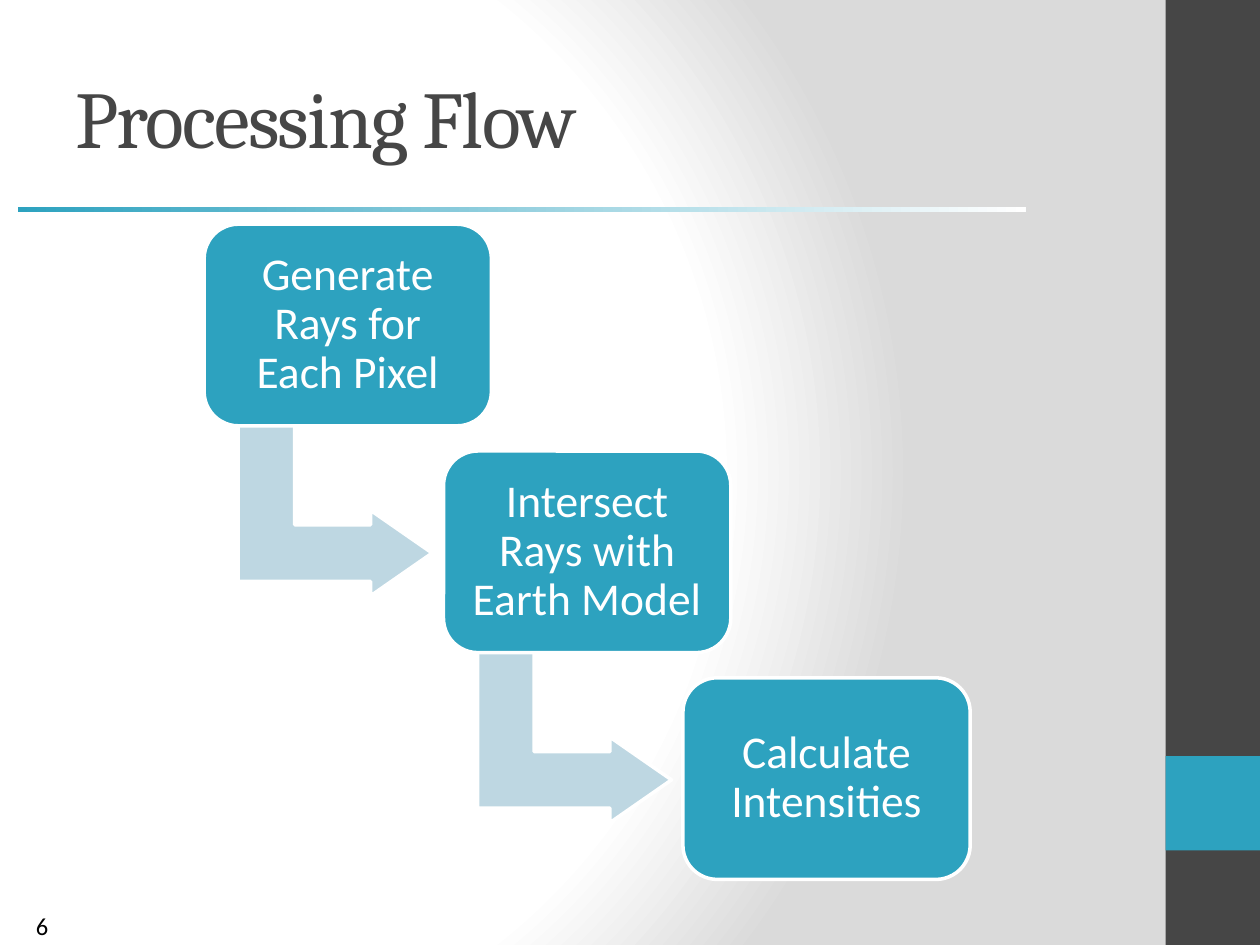
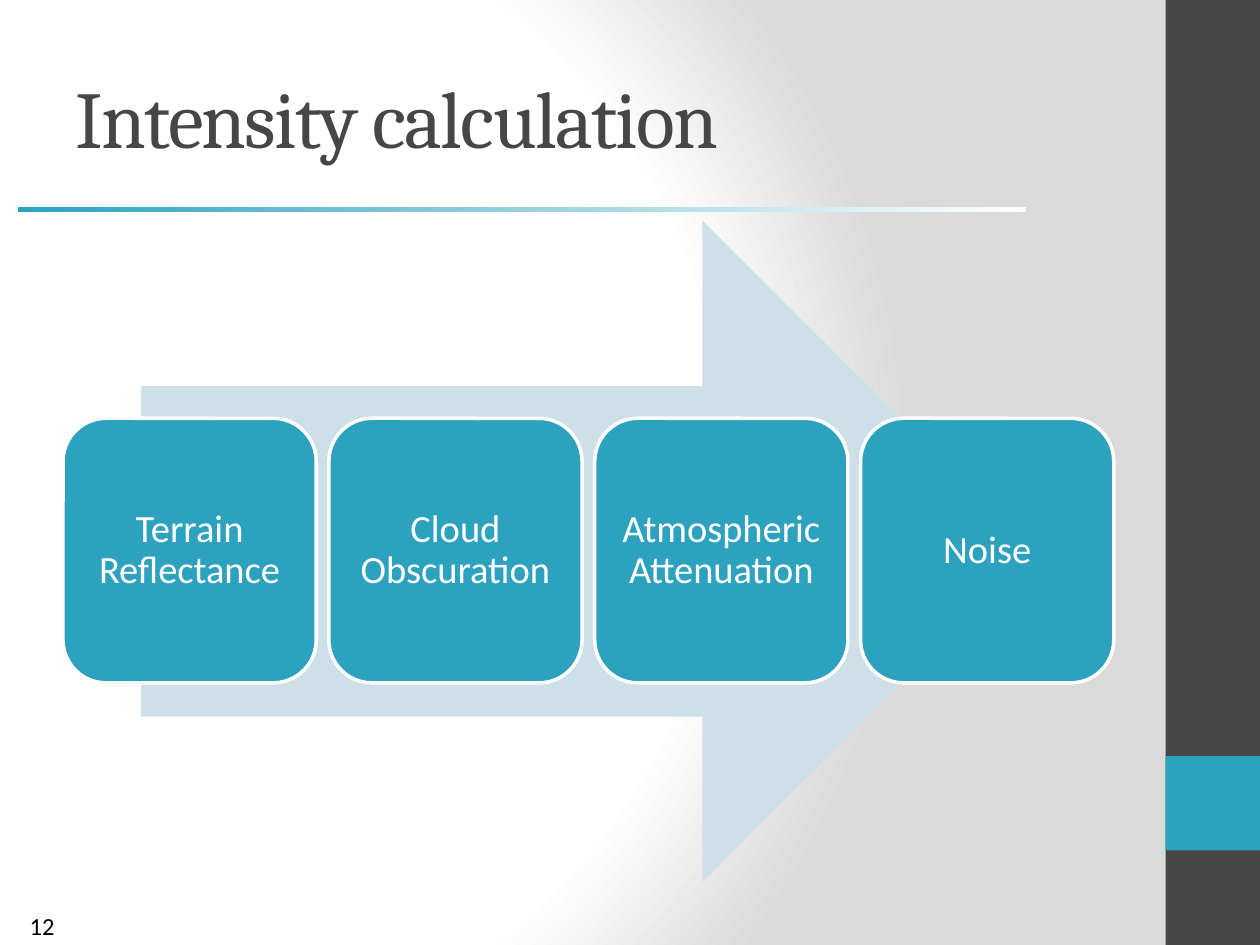
from pptx import Presentation
from pptx.dml.color import RGBColor
from pptx.enum.shapes import MSO_SHAPE
from pptx.enum.text import MSO_ANCHOR, PP_ALIGN
from pptx.oxml import parse_xml
from pptx.oxml.ns import nsdecls, qn
from pptx.util import Inches, Pt

COLOURS = {
    "white": "FFFFFF",
    "black": "000000",
    "backdrop": "DADADA",
    "charcoal": "464646",
    "teal": "2DA2BF",
    "bend": "BED7E2",
    "sweep": "CDE0E8",
}
FONTS = {"title": "Cambria", "body": "Calibri"}


def rgb(name):
    return RGBColor.from_string(COLOURS[name])


def apply(target, values):
    for name, value in values.items():
        setattr(target, name, value)


class Deck:
    def __init__(self):
        self.presentation = Presentation()
        apply(self.presentation, {"slide_width": Inches(10), "slide_height": Inches(7.5)})
        self.slide = None

    def start_slide(self, title, number):
        self.slide = self.presentation.slides.add_slide(self.presentation.slide_layouts[6])
        self.backdrop()
        self.shape(MSO_SHAPE.RECTANGLE, (9.25, 0, 0.75, 7.5), "charcoal")
        self.shape(MSO_SHAPE.RECTANGLE, (9.25, 6, 0.75, 0.75), "teal")
        self.label((0, 7.18, 0.67, 0.32), str(number), 14, "black", align=PP_ALIGN.CENTER)
        self.title_rule()
        heading = self.label((0.5, 0.3, 8.33, 1.25), title, 46, "charcoal",
                             font="title", anchor=MSO_ANCHOR.MIDDLE)
        heading._p.find(".//" + qn("a:rPr")).set("spc", "-100")

    def backdrop(self):
        self.slide.background.fill.gradient()
        plain = self.slide.element.find(".//" + qn("a:gradFill"))
        stops = "".join(
            f'<a:gs pos="{position * 1000}"><a:srgbClr val="{COLOURS[name]}"/></a:gs>'
            for position, name in ((0, "white"), (75, "white"), (100, "backdrop"))
        )
        glow = parse_xml(
            f'<a:gradFill {nsdecls("a")} rotWithShape="1"><a:gsLst>{stops}</a:gsLst>'
            '<a:path path="circle"><a:fillToRect l="20000" t="50000" r="100000" b="50000"/>'
            "</a:path></a:gradFill>"
        )
        plain.getparent().replace(plain, glow)

    def title_rule(self):
        rule = self.shape(MSO_SHAPE.RECTANGLE, (0.14, 1.64, 8, 0.04), "teal")
        rule.fill.gradient()
        rule.fill.gradient_angle = 0
        for stop, name in zip(rule.fill.gradient_stops, ("teal", "white")):
            stop.color.rgb = rgb(name)

    def shape(self, kind, place, fill, outline=None, adjustments=(), rotation=0):
        shape = self.slide.shapes.add_shape(kind, *map(Inches, place))
        shape.shadow.inherit = False
        shape.rotation = rotation
        shape.fill.solid()
        shape.fill.fore_color.rgb = rgb(fill)
        if outline:
            shape.line.color.rgb = rgb(outline)
            shape.line.width = Pt(2)
        else:
            shape.line.fill.background()
        for index, value in enumerate(adjustments):
            shape.adjustments[index] = value
        return shape

    def set_text(self, frame, text, size, colour, font="body", anchor=MSO_ANCHOR.TOP,
                 align=PP_ALIGN.LEFT):
        apply(frame, {"word_wrap": True, "vertical_anchor": anchor})
        paragraph = frame.paragraphs[0]
        paragraph.alignment = align
        run = paragraph.add_run()
        run.text = text
        apply(run.font, {"size": Pt(size), "name": FONTS[font]})
        run.font.color.rgb = rgb(colour)
        return paragraph

    def label(self, place, *text_style, **options):
        box = self.slide.shapes.add_textbox(*map(Inches, place))
        return self.set_text(box.text_frame, *text_style, **options)

    def step(self, place, text, size, inset):
        block = self.shape(MSO_SHAPE.ROUNDED_RECTANGLE, place, "teal", "white", (0.17,))
        sides = ("left", "top", "right", "bottom")
        apply(block.text_frame, {f"margin_{side}": Inches(inset) for side in sides})
        paragraph = self.set_text(block.text_frame, text, size, "white",
                                  anchor=MSO_ANCHOR.MIDDLE, align=PP_ALIGN.CENTER)
        paragraph.line_spacing = 0.9

    def bend(self, place):
        self.shape(MSO_SHAPE.BENT_UP_ARROW, place, "bend", "white", (0.33, 0.25, 0.36), 90)


def processing_flow(deck):
    deck.start_slide("Processing Flow", 6)
    stages = ("Generate Rays for Each Pixel", "Intersect Rays with Earth Model", "Calculate Intensities")
    for index, stage in enumerate(stages):
        left, top = 1.62 + 1.9 * index, 1.78 + 1.8 * index
        if index < len(stages) - 1:
            deck.bend((left + 0.36, top + 1.5, 1.36, 1.54))
        deck.step((left, top, 2.28, 1.6), stage, 26, 0.11)


def intensity_calculation(deck):
    deck.start_slide("Intensity calculation", 12)
    deck.shape(MSO_SHAPE.RIGHT_ARROW, (1.12, 1.75, 7.08, 5.25), "sweep")
    factors = ("Terrain Reflectance", "Cloud Obscuration", "Atmospheric Attenuation", "Noise")
    for index, factor in enumerate(factors):
        deck.step((0.5 + 2.11 * index, 3.32, 2.01, 2.1), factor, 22, 0.09)


def main():
    deck = Deck()
    processing_flow(deck)
    intensity_calculation(deck)
    deck.presentation.save("out.pptx")


if __name__ == "__main__":
    main()
